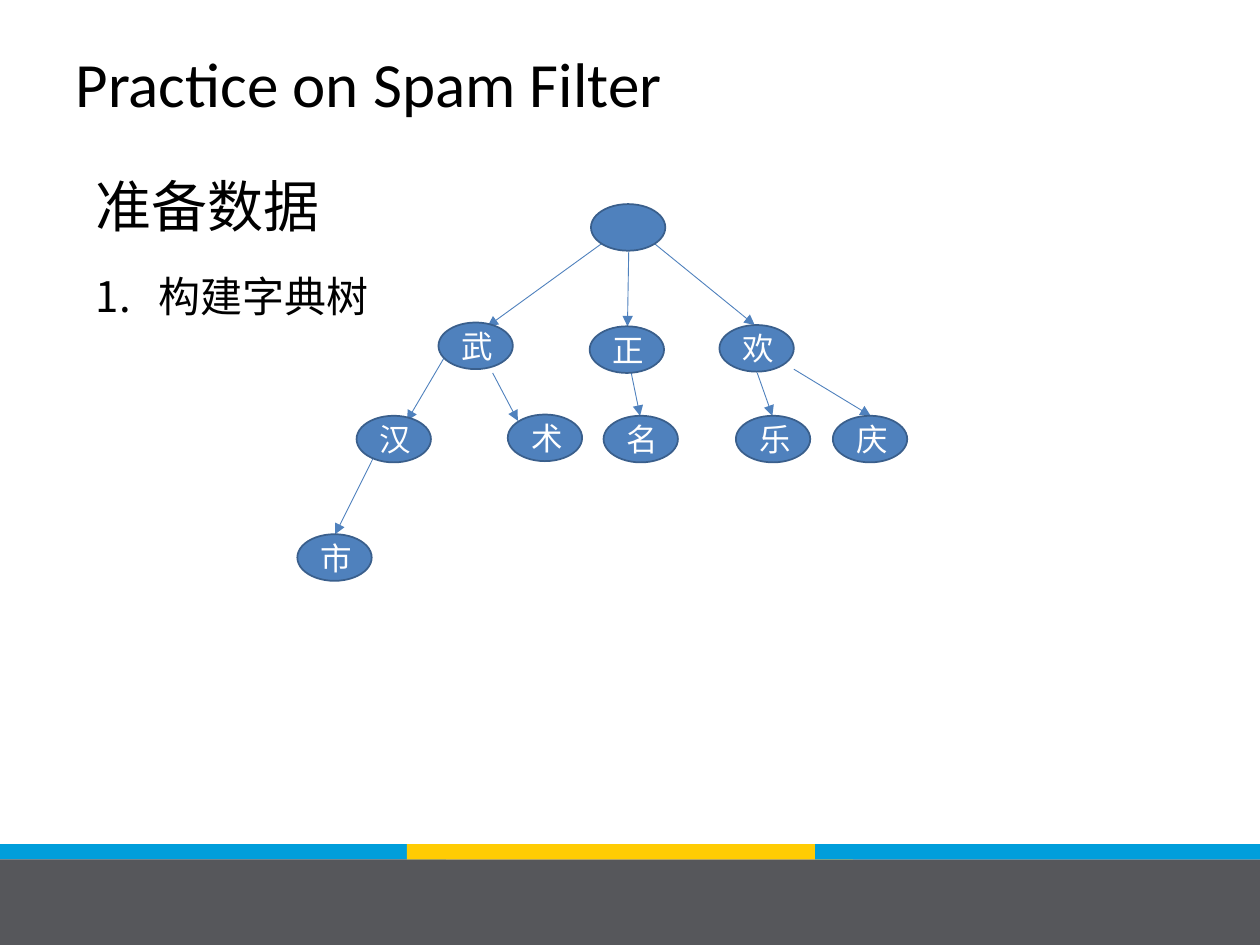
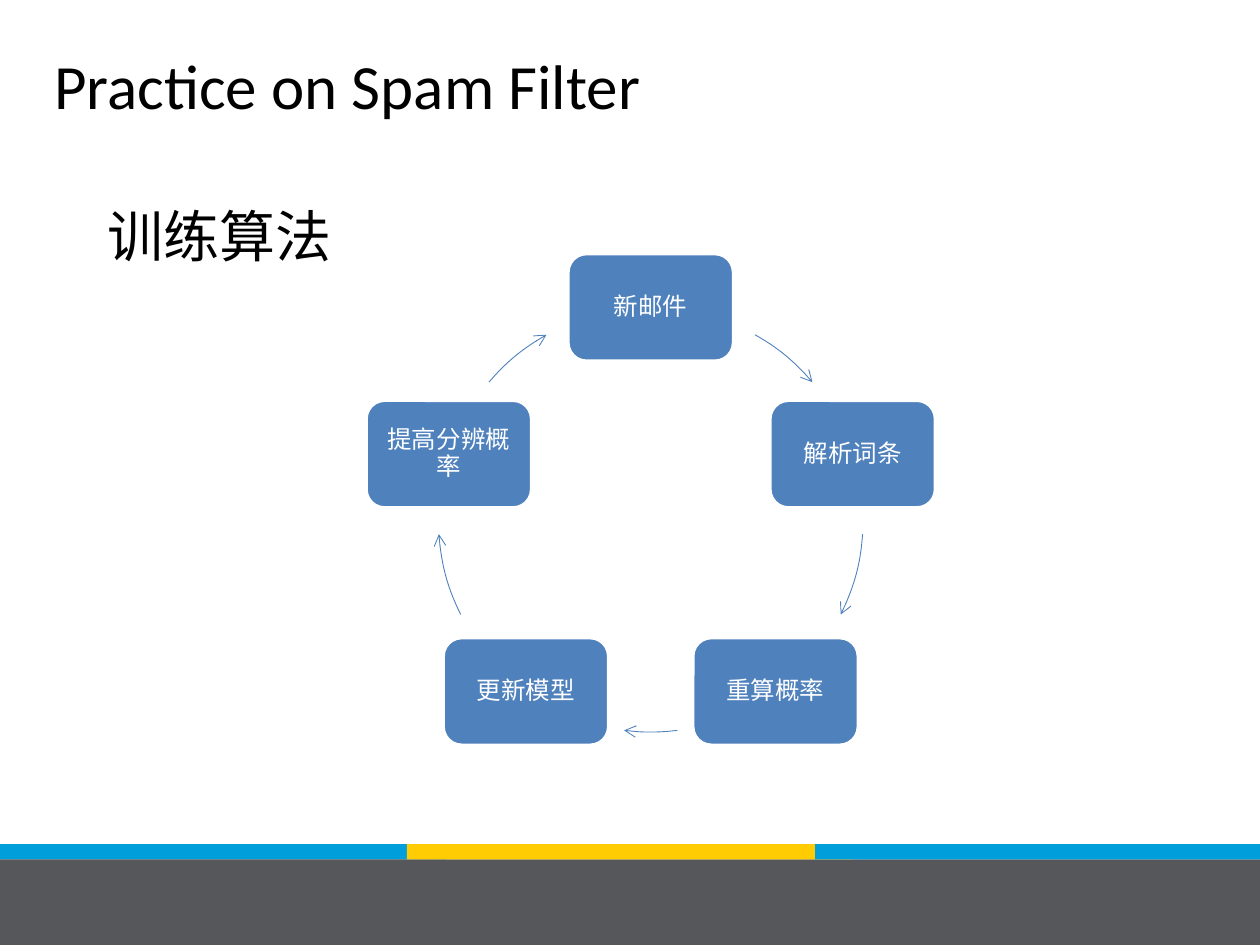
"""Build two slides on spam filtering: a dictionary tree and a training cycle."""
from math import cos, radians, sin

from lxml.etree import SubElement
from pptx import Presentation
from pptx.dml.color import RGBColor
from pptx.enum.shapes import MSO_CONNECTOR, MSO_SHAPE
from pptx.enum.text import MSO_ANCHOR, MSO_AUTO_SIZE, PP_ALIGN
from pptx.oxml.ns import qn
from pptx.util import Inches, Pt

BLUE = RGBColor(0x4F, 0x81, 0xBD)
NAVY = RGBColor(0x3A, 0x5F, 0x8C)
WHITE = RGBColor(0xFF, 0xFF, 0xFF)
BLACK = RGBColor(0, 0, 0)
SKY = RGBColor(0x00, 0x9E, 0xDB)
YELLOW = RGBColor(0xFF, 0xCC, 0x03)
GREY = RGBColor(0x56, 0x57, 0x5B)
CJK = "Noto Sans CJK SC"

TITLE = "Practice on Spam Filter"
BANDS = [
    (0, 6.7, 3.54, 0.12, SKY),
    (0, 6.82, 10, 0.68, GREY),
    (3.23, 6.7, 3.54, 0.12, YELLOW),
    (6.47, 6.7, 3.54, 0.12, SKY),
]

NODE_SIZE = (0.59, 0.37)
NODES = [
    ("", 4.69, 1.62),
    ("武", 3.48, 2.56), ("正", 4.68, 2.59), ("欢", 5.71, 2.58),
    ("汉", 2.83, 3.3), ("术", 4.03, 3.29), ("名", 4.79, 3.3),
    ("乐", 5.84, 3.3), ("庆", 6.61, 3.3),
    ("市", 2.36, 4.24),
]
BRANCHES = [
    (4.78, 1.93, 3.87, 2.59), (4.99, 2, 4.98, 2.59), (5.19, 1.93, 5.99, 2.58),
    (3.56, 2.78, 3.23, 3.34), (3.91, 2.96, 4.11, 3.34), (5.01, 2.96, 5.08, 3.3),
    (6.01, 2.96, 6.13, 3.3), (6.3, 2.93, 6.91, 3.3), (3.01, 3.54, 2.66, 4.24),
]

STEPS = ["新邮件", "解析词条", "重算概率", "更新模型", "提高分辨概率"]
STEP_SIZE = (1.3, 0.84)
CIRCLE_LEFT, CIRCLE_TOP, DIAMETER = 3.48, 2.44, 3.37
ARCS = [(-60.6, -40.4), (3.9, 26.5), (82.8, 97.2), (153.5, 176.1), (220.4, 240.6)]


def place(sp, x, y, w, h):
    sp.left, sp.top, sp.width, sp.height = map(Inches, (x, y, w, h))


def style_runs(p, size, font, color):
    for r in p.runs:
        r.font.size, r.font.name = Pt(size), font
        r.font.color.rgb = color
        SubElement(r.font._element, qn("a:ea"), typeface=CJK)


def add_block(s, kind, x, y, w, h, fill, line=None):
    sp = s.shapes.add_shape(kind, *map(Inches, (x, y, w, h)))
    sp.shadow.inherit = False
    sp.fill.solid()
    sp.fill.fore_color.rgb = fill
    if line is None:
        sp.line.fill.background()
    else:
        sp.line.color.rgb, sp.line.width = line, Pt(1)
    return sp


def label(sp, text, size):
    tf = sp.text_frame
    tf.word_wrap, tf.vertical_anchor = True, MSO_ANCHOR.MIDDLE
    p = tf.paragraphs[0]
    p.text, p.alignment = text, PP_ALIGN.CENTER
    style_runs(p, size, CJK, WHITE)
    return p


def style_arrow(sp, head):
    sp.line.color.rgb, sp.line.width = BLUE, Pt(0.5)
    SubElement(sp.line._get_or_add_ln(), qn("a:tailEnd"), type=head)


def add_slide(prs, title_at, body_at, heading, items=()):
    s = prs.slides.add_slide(prs.slide_layouts[1])
    for *box, color in BANDS:
        add_block(s, MSO_SHAPE.RECTANGLE, *box, color)

    title, body = s.placeholders
    place(title, *title_at, 9, 0.85)
    title.text_frame.text = TITLE
    title.text_frame.vertical_anchor = MSO_ANCHOR.TOP
    p = title.text_frame.paragraphs[0]
    p.alignment, p.space_before = PP_ALIGN.LEFT, Pt(2)
    style_runs(p, 36, "Calibri", BLACK)

    place(body, *body_at, 7.32, 3.98)
    tf = body.text_frame
    tf.text = "\n".join([heading, *items])
    for i, p in enumerate(tf.paragraphs):
        p.line_spacing, p.space_before = 1.0, Pt(18 if i else 0)
        style_runs(p, 24 if i else 32, "Arial", BLACK)
        indent = Inches(0.5) if i else 0
        pPr = p._p.get_or_add_pPr()
        pPr.set("marL", str(indent))
        pPr.set("indent", str(-indent))
        if i:
            SubElement(pPr, qn("a:buFont"), typeface="+mj-lt")
            SubElement(pPr, qn("a:buAutoNum"), type="arabicPeriod")
        else:
            SubElement(pPr, qn("a:buNone"))
    for frame in (title.text_frame, tf):
        frame.auto_size = MSO_AUTO_SIZE.NONE
    return s


def add_tree(s):
    for ends in BRANCHES:
        branch = s.shapes.add_connector(MSO_CONNECTOR.STRAIGHT, *map(Inches, ends))
        style_arrow(branch, "triangle")
        SubElement(branch._element.spPr, qn("a:effectLst"))
    for text, x, y in NODES:
        node = add_block(s, MSO_SHAPE.OVAL, x, y, *NODE_SIZE, BLUE, NAVY)
        if text:
            label(node, text, 18)


def on_circle(angle):
    a, radius = radians(angle), DIAMETER / 2
    return radius * (1 + cos(a)), radius * (1 + sin(a))


def add_arc(s, start, end):
    """Add an arrow along the circle, in a frame as large as the circle."""
    left, top, size = map(Inches, (CIRCLE_LEFT, CIRCLE_TOP, DIAMETER))
    builder = s.shapes.build_freeform(left, top)
    builder.add_line_segments([(left + size, top + size)], close=False)
    arc = builder.convert_to_shape()
    move, line = (next(arc._element.iter(qn(tag))) for tag in ("a:moveTo", "a:lnTo"))
    x, y = map(Inches, on_circle(start))
    move[0].set("x", str(x))
    move[0].set("y", str(y))
    outline = line.getparent()
    outline.remove(line)
    radius = str(size // 2)
    SubElement(outline, qn("a:arcTo"), wR=radius, hR=radius,
               stAng=str(round(start % 360 * 60000)),
               swAng=str(round((end - start) * 60000)))
    arc.shadow.inherit = False
    arc.fill.background()
    style_arrow(arc, "arrow")


def add_cycle(s):
    w, h = STEP_SIZE
    for i, text in enumerate(STEPS):
        x, y = on_circle(-90 + i * 360 / len(STEPS))
        step = add_block(s, MSO_SHAPE.ROUNDED_RECTANGLE, CIRCLE_LEFT + x - w / 2,
                         CIRCLE_TOP + y - h / 2, w, h, BLUE, WHITE)
        label(step, text, 14).line_spacing = 0.9
    for start, end in ARCS:
        add_arc(s, start, end)


def main():
    prs = Presentation()
    prs.slide_width, prs.slide_height = Inches(10), Inches(7.5)
    add_tree(add_slide(prs, (0.5, 0.3), (0.66, 1.31), "准备数据", ["构建字典树"]))
    add_cycle(add_slide(prs, (0.33, 0.32), (0.75, 1.55), "训练算法"))
    prs.save("out.pptx")


if __name__ == "__main__":
    main()
